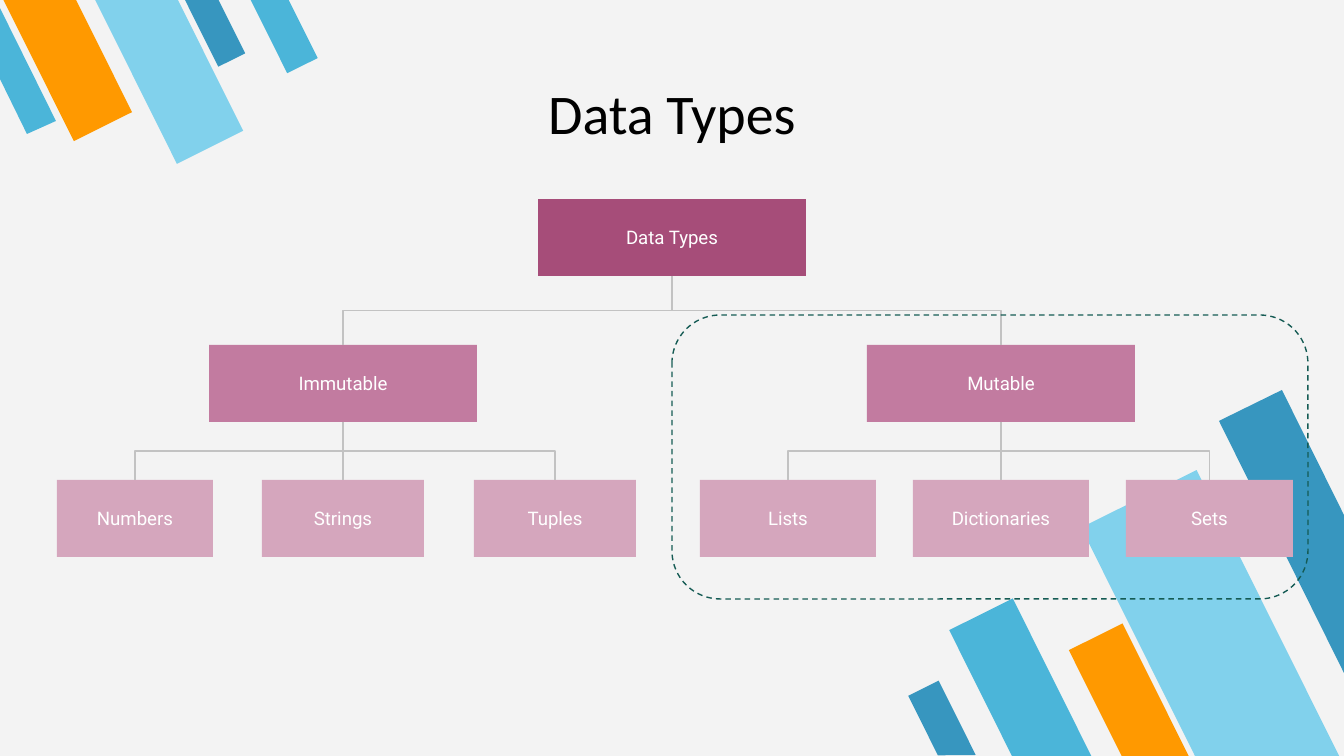
from lxml.etree import SubElement
from pptx import Presentation
from pptx.dml.color import RGBColor
from pptx.enum.dml import MSO_LINE
from pptx.enum.shapes import MSO_CONNECTOR, MSO_SHAPE
from pptx.enum.text import MSO_ANCHOR, MSO_AUTO_SIZE, PP_ALIGN
from pptx.oxml.ns import qn
from pptx.util import Pt

SCALE = 914400 / 134.4  # EMU per px

PAPER = RGBColor(0xF3, 0xF3, 0xF3)
BLACK = RGBColor(0x00, 0x00, 0x00)
WHITE = RGBColor(0xFF, 0xFF, 0xFF)
CYAN = RGBColor(0x4B, 0xB5, 0xD9)
SKY = RGBColor(0x81, 0xD1, 0xEC)
ORANGE = RGBColor(0xFF, 0x99, 0x00)
BLUE = RGBColor(0x37, 0x96, 0xBF)
PLUM = RGBColor(0xA6, 0x4D, 0x79)
MAUVE = RGBColor(0xC2, 0x7B, 0xA0)
PINK = RGBColor(0xD5, 0xA6, 0xBD)
GRAY = RGBColor(0xC2, 0xC2, 0xC2)
GREEN = RGBColor(0x15, 0x5B, 0x54)

BOX_H = 77
BRANCH_W = 268
BRANCH_Y, LEAF_Y = 345, 480
BOTTOM, TOP = 2, 0

# left, top, width, height, colour
LOWER_STRIPES = [
    (985, 605, 71, 177, CYAN),
    (1146, 482, 129, 321, SKY),
    (1099, 629, 60, 149, ORANGE),
    (925, 684, 34, 83, BLUE),
]
UPPER_STRIPES = [
    (200, -11, 30, 75, BLUE),
    (35, -24, 65, 159, ORANGE),
    (132, -27, 74, 184, SKY),
    (267, -13, 34, 83, CYAN),
]
# branch, left, leaves as (name, left, width)
BRANCHES = [
    ("Immutable", 209, [("Numbers", 57, 156), ("Strings", 262, 162), ("Tuples", 474, 162)]),
    ("Mutable", 867, [("Lists", 700, 176), ("Dictionaries", 913, 176), ("Sets", 1126, 167)]),
]


def px(*values):
    return [round(v * SCALE) for v in values]


def apply(target, values):
    for name, value in values.items():
        setattr(target, name, value)


class Canvas:
    frame = dict(word_wrap=True, auto_size=MSO_AUTO_SIZE.NONE)
    margins = dict.fromkeys(
        ("margin_left", "margin_top", "margin_right", "margin_bottom"), px(13)[0])
    title_font = dict(name="Calibri", size=Pt(30), bold=False)
    box_font = dict(name="Roboto", size=Pt(10), bold=False)

    def __init__(self, slide):
        self.slide = slide
        fill = slide.background.fill
        fill.solid()
        fill.fore_color.rgb = PAPER

    def text(self, sp, text, font, color, anchor):
        tf = sp.text_frame
        apply(tf, {**self.frame, **self.margins, "vertical_anchor": anchor})
        p = tf.paragraphs[0]
        p.alignment = PP_ALIGN.CENTER
        r = p.add_run()
        r.text = text
        apply(r.font, font)
        r.font.color.rgb = color

    def title(self, text, *box):
        sp = self.slide.shapes.title
        apply(sp, dict(zip(("left", "top", "width", "height"), px(*box))))
        self.text(sp, text, self.title_font, BLACK, MSO_ANCHOR.TOP)

    def paint(self, sp, color):
        sp.shadow.inherit = False
        sp.fill.solid()
        sp.fill.fore_color.rgb = color
        sp.line.fill.background()
        return sp

    def stripe(self, x, y, w, h, color, angle):
        sp = self.slide.shapes.add_shape(
            MSO_SHAPE.FLOWCHART_MANUAL_INPUT, *px(x, y, w, h))
        sp.rotation = angle
        sp._element.spPr.xfrm.set("flipH", "1")
        self.paint(sp, color)

    def polygon(self, points, color):
        builder = self.slide.shapes.build_freeform(*points[0], scale=SCALE)
        builder.add_line_segments(points[1:], close=True)
        self.paint(builder.convert_to_shape(), color)

    def box(self, text, x, y, w, color):
        sp = self.slide.shapes.add_shape(MSO_SHAPE.RECTANGLE, *px(x, y, w, BOX_H))
        self.paint(sp, color)
        self.text(sp, text, self.box_font, WHITE, MSO_ANCHOR.MIDDLE)
        return sp

    def link(self, parent, child):
        """Join parent's bottom to child's top, bending halfway down if they are offset."""
        x1, y1 = parent.left + parent.width // 2, parent.top + parent.height
        x2, y2 = child.left + child.width // 2, child.top
        dx, dy = x2 - x1, y2 - y1
        straight = abs(dx) < SCALE
        kind = MSO_CONNECTOR.STRAIGHT if straight else MSO_CONNECTOR.ELBOW
        line = self.slide.shapes.add_connector(kind, x1, y1, x2, y2)
        line.begin_connect(parent, BOTTOM)
        line.end_connect(child, TOP)
        if not straight:
            # An elbow leaves sideways, so it is turned to leave downwards.
            width, height = dy, abs(dx)
            apply(line, dict(left=(x1 + x2 - width) // 2, top=(y1 + y2 - height) // 2,
                             width=width, height=height))
            xfrm = line._element.spPr.xfrm
            xfrm.set("rot", "16200000" if dx > 0 else "5400000")
            xfrm.set("flipH", "1" if dx > 0 else "0")
            xfrm.set("flipV", "0")
        line.line.color.rgb = GRAY
        line.line.width = Pt(0.75)
        SubElement(line._element.spPr, qn("a:effectLst"))

    def dashed_frame(self, *box):
        sp = self.slide.shapes.add_shape(MSO_SHAPE.ROUNDED_RECTANGLE, *px(*box))
        sp.shadow.inherit = False
        sp.adjustments[0] = 0.17
        sp.fill.background()
        sp.line.color.rgb = GREEN
        apply(sp.line, dict(width=Pt(0.75), dash_style=MSO_LINE.DASH))


def main():
    prs = Presentation()
    prs.slide_width, prs.slide_height = px(1344, 756)
    canvas = Canvas(prs.slides.add_slide(prs.slide_layouts[5]))

    for stripes, angle in ((LOWER_STRIPES, 153.5), (UPPER_STRIPES, 333.5)):
        for stripe in stripes:
            canvas.stripe(*stripe, angle)
    canvas.polygon([(1282, 390), (1219, 421), (1344, 673), (1344, 515)], BLUE)
    canvas.polygon([(27, 134), (56, 121), (0, 8), (0, 79)], CYAN)

    canvas.title("Data Types", 46, 66, 1252, 85)
    root = canvas.box("Data Types", 538, 199, BRANCH_W, PLUM)
    for name, x, leaves in BRANCHES:
        branch = canvas.box(name, x, BRANCH_Y, BRANCH_W, MAUVE)
        canvas.link(root, branch)
        for leaf, leaf_x, leaf_w in leaves:
            canvas.link(branch, canvas.box(leaf, leaf_x, LEAF_Y, leaf_w, PINK))
    canvas.dashed_frame(672, 315, 636, 284)

    prs.save("out.pptx")


if __name__ == "__main__":
    main()
